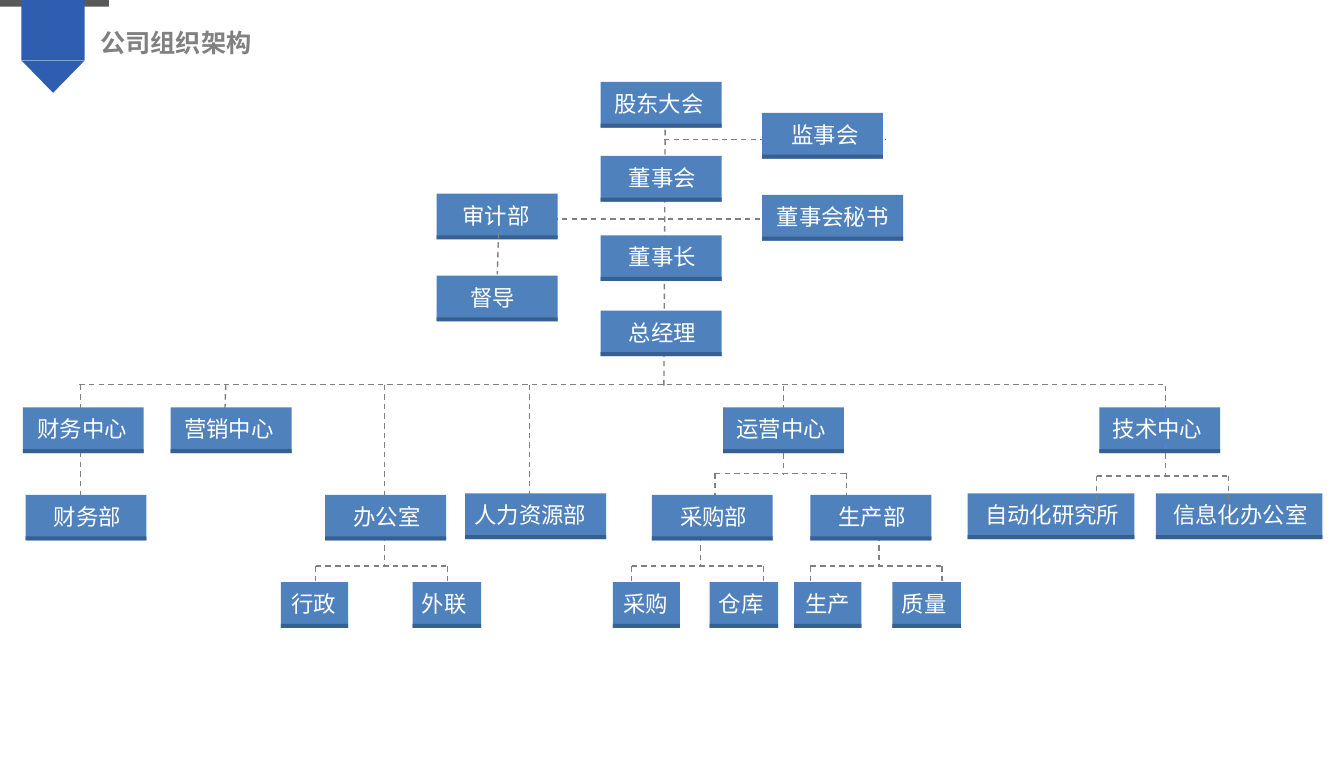
from lxml import etree
from pptx import Presentation
from pptx.dml.color import RGBColor
from pptx.enum.dml import MSO_LINE
from pptx.enum.shapes import MSO_CONNECTOR, MSO_SHAPE
from pptx.enum.text import MSO_ANCHOR, MSO_AUTO_SIZE, PP_ALIGN
from pptx.oxml.ns import qn
from pptx.util import Inches, Pt

RECTANGLE = MSO_SHAPE.RECTANGLE
TRIANGLE = MSO_SHAPE.ISOSCELES_TRIANGLE
STRAIGHT = MSO_CONNECTOR.STRAIGHT
DASH = MSO_LINE.DASH
TOP = MSO_ANCHOR.TOP
LEFT = PP_ALIGN.LEFT
GROW = MSO_AUTO_SIZE.SHAPE_TO_FIT_TEXT

FONT = "Noto Sans CJK SC"
WHITE = RGBColor(0xFF, 0xFF, 0xFF)
GRAY = RGBColor(0x80, 0x80, 0x80)
DARK_GRAY = RGBColor(0x59, 0x59, 0x59)
RIBBON_BLUE = RGBColor(0x2F, 0x5E, 0xB0)
BOX_BLUE = RGBColor(0x4F, 0x81, 0xBD)
EDGE_BLUE = RGBColor(0x37, 0x60, 0x92)

BOX_HEIGHT = 0.34
EDGE_HEIGHT = 0.03
LABEL_HEIGHT = 0.28
LABEL_WIDTHS = {2: 0.5, 3: 0.83, 4: 0.83, 5: 1.21, 6: 1.2}
BUS_Y = 2.86
CENTER_TOP = 3.03
DEPARTMENT_TOP = 3.68
TEAM_TOP = 4.33
TEAM_BUS_Y = 4.21

UNITS = [
    ("股东大会", 4.47, 0.61, 0.9, 4.5),
    ("董事会", 4.47, 1.16, 0.9, 4.61),
    ("董事长", 4.47, 1.75, 0.9, 4.61),
    ("总经理", 4.47, 2.31, 0.9, 4.61),
    ("监事会", 5.67, 0.84, 0.9, 5.82),
    ("董事会秘书", 5.67, 1.45, 1.05, 5.71),
    ("审计部", 3.25, 1.44, 0.9, 3.37),
    ("督导", 3.25, 2.05, 0.9, 3.43),
    ("财务中心", 0.17, CENTER_TOP, 0.9, 0.21),
    ("营销中心", 1.27, CENTER_TOP, 0.9, 1.3),
    ("运营中心", 5.38, CENTER_TOP, 0.9, 5.41),
    ("技术中心", 8.18, CENTER_TOP, 0.9, 8.21),
    ("财务部", 0.19, DEPARTMENT_TOP, 0.9, 0.33),
    ("办公室", 2.42, DEPARTMENT_TOP, 0.9, 2.56),
    ("人力资源部", 3.46, 3.67, 1.05, 3.46),
    ("采购部", 4.85, DEPARTMENT_TOP, 0.9, 4.99),
    ("生产部", 6.03, DEPARTMENT_TOP, 0.9, 6.17),
    ("自动化研究所", 7.2, 3.67, 1.24, 7.26),
    ("信息化办公室", 8.6, 3.67, 1.24, 8.66),
    ("行政", 2.09, TEAM_TOP, 0.5, 2.1),
    ("外联", 3.07, TEAM_TOP, 0.51, 3.07),
    ("采购", 4.56, TEAM_TOP, 0.5, 4.57),
    ("仓库", 5.28, TEAM_TOP, 0.51, 5.28),
    ("生产", 5.91, TEAM_TOP, 0.5, 5.92),
    ("质量", 6.64, TEAM_TOP, 0.51, 6.64),
]

LINKS = [
    (4.95, 0.75, 4.94, 2.87),
    (4.94, 1.04, 6.59, 1.04),
    (3.25, 1.63, 6.59, 1.63),
    (0.59, BUS_Y, 8.66, BUS_Y),
    (0.6, BUS_Y, 0.6, 3.95),
    (1.68, BUS_Y, 1.67, 3.16),
    (2.86, BUS_Y, 2.86, 3.82),
    (3.94, BUS_Y, 3.94, 3.82),
]

BRANCHES = [
    (2.86, 3.84, TEAM_BUS_Y),
    (5.21, 3.84, TEAM_BUS_Y),
    (6.54, 3.84, TEAM_BUS_Y),
    (5.83, 2.87, 3.52),
]


def write_text(shape, text, size=12, color=WHITE, bold=False, side=0.07, edge=0.04):
    """Fill a shape's text frame with one formatted left-aligned line."""
    frame = shape.text_frame
    frame.word_wrap = True
    frame.auto_size = GROW
    frame.vertical_anchor = TOP
    frame.margin_left = frame.margin_right = Inches(side)
    frame.margin_top = frame.margin_bottom = Inches(edge)
    paragraph = frame.paragraphs[0]
    paragraph.alignment = LEFT
    run = paragraph.add_run()
    run.text = text
    font = run.font
    font.name, font.size, font.bold = FONT, Pt(size), bold
    font.color.rgb = color
    east_asian = etree.SubElement(run._r.get_or_add_rPr(), qn("a:ea"))
    east_asian.set("typeface", FONT)


def add_block(slide, left, top, width, height, color, kind=RECTANGLE):
    """Add a flat filled shape without outline."""
    block = slide.shapes.add_shape(
        kind, Inches(left), Inches(top), Inches(width), Inches(height))
    block.shadow.inherit = False
    block.fill.solid()
    block.fill.fore_color.rgb = color
    block.line.fill.background()
    return block


def add_link(slide, x1, y1, x2, y2):
    """Add a dashed gray connector."""
    link = slide.shapes.add_connector(
        STRAIGHT, Inches(x1), Inches(y1), Inches(x2), Inches(y2))
    link.line.color.rgb = GRAY
    link.line.width = Pt(0.75)
    link.line.dash_style = DASH
    etree.SubElement(link._element.spPr, qn("a:effectLst"))


def add_branch(slide, stem_x, stem_top, bus_y):
    """Add a stem that splits into two drops below a bus."""
    first, second = stem_x - 0.51, stem_x + 0.47
    add_link(slide, stem_x, stem_top, stem_x, bus_y + 0.01)
    add_link(slide, first, bus_y, second, bus_y)
    for drop_x in (first, second):
        add_link(slide, drop_x, bus_y, drop_x, bus_y + 0.3)


def add_unit(slide, name, left, top, width, label_left):
    """Add an organisation unit with its dark lower edge and label."""
    add_block(slide, left, top, width, BOX_HEIGHT, BOX_BLUE)
    add_block(slide, left, top + BOX_HEIGHT - EDGE_HEIGHT, width, EDGE_HEIGHT, EDGE_BLUE)
    label = slide.shapes.add_textbox(
        Inches(label_left), Inches(top + 0.02),
        Inches(LABEL_WIDTHS[len(name)]), Inches(LABEL_HEIGHT))
    write_text(label, name)


def add_heading(slide, text):
    """Add the ribbon and place the title beside it."""
    add_block(slide, 0, 0, 0.81, 0.05, DARK_GRAY)
    add_block(slide, 0.16, 0, 0.47, 0.45, RIBBON_BLUE)
    tip = add_block(slide, 0.16, 0.45, 0.47, 0.24, RIBBON_BLUE, TRIANGLE)
    tip.rotation = 180
    title = slide.shapes.title
    title.left, title.top = Inches(0.69), Inches(0.17)
    title.width, title.height = Inches(2.21), Inches(0.28)
    write_text(title, text, size=13.5, color=GRAY, bold=True, side=0.06, edge=0.03)


def main():
    """Build the organisation chart slide."""
    deck = Presentation()
    deck.slide_width, deck.slide_height = Inches(10), Inches(5.63)
    slide = deck.slides.add_slide(deck.slide_layouts[5])
    add_heading(slide, "公司组织架构")
    for link in LINKS:
        add_link(slide, *link)
    for branch in BRANCHES:
        add_branch(slide, *branch)
    for unit in UNITS:
        add_unit(slide, *unit)
    add_branch(slide, 8.67, 2.87, 3.54)
    add_link(slide, 3.71, 1.73, 3.7, 2.04)
    deck.save("out.pptx")


if __name__ == "__main__":
    main()
